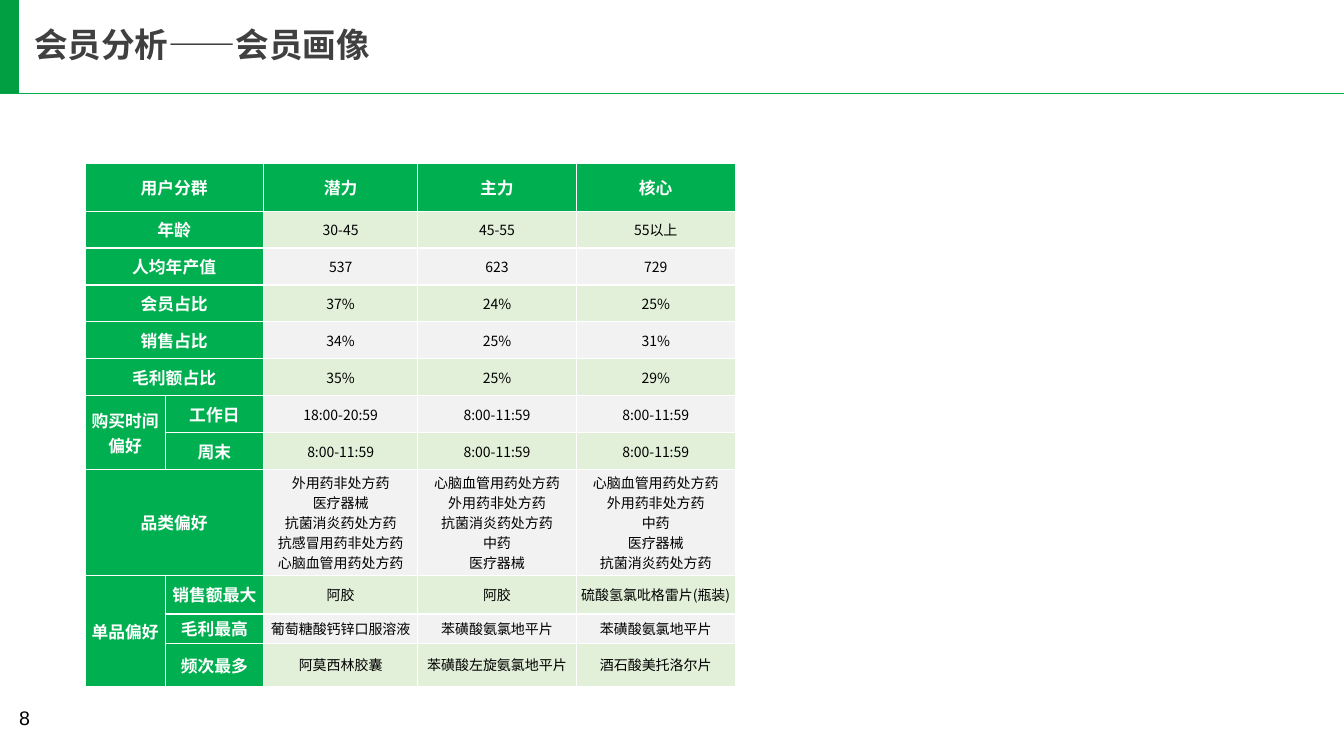
"""Build the member profile slide with its customer segment table."""
from dataclasses import dataclass

from lxml import etree
from pptx import Presentation
from pptx.dml.color import RGBColor
from pptx.enum import shapes, text
from pptx.oxml import ns
from pptx.util import Cm, Pt

CJK = "Noto Sans CJK SC"
GREEN, PALE, GREY, WHITE = "00B050", "E2F0D9", "F2F2F2", "FFFFFF"


@dataclass
class Row:
    group: str
    label: str
    values: list[str]
    height: float = 0.93
    group_rows: int = 1


COLUMNS = [2.03, 2.47, 3.89, 3.99, 4.01]
ROWS = [
    Row("用户分群", "", ["潜力", "主力", "核心"], 1.19),
    Row("年龄", "", ["30-45", "45-55", "55以上"]),
    Row("人均年产值", "", ["537", "623", "729"]),
    Row("会员占比", "", ["37%", "24%", "25%"]),
    Row("销售占比", "", ["34%", "25%", "31%"]),
    Row("毛利额占比", "", ["35%", "25%", "29%"]),
    Row("购买时间\n偏好", "工作日", ["18:00-20:59", "8:00-11:59", "8:00-11:59"], group_rows=2),
    Row("", "周末", ["8:00-11:59"] * 3),
    Row("品类偏好", "", [
        "外用药非处方药\n医疗器械\n抗菌消炎药处方药\n抗感冒用药非处方药\n心脑血管用药处方药",
        "心脑血管用药处方药\n外用药非处方药\n抗菌消炎药处方药\n中药\n医疗器械",
        "心脑血管用药处方药\n外用药非处方药\n中药\n医疗器械\n抗菌消炎药处方药",
    ], 2.67),
    Row("单品偏好", "销售额最大", ["阿胶", "阿胶", "硫酸氢氯吡格雷片(瓶装)"], 0.97, 3),
    Row("", "毛利最高", ["葡萄糖酸钙锌口服溶液", "苯磺酸氨氯地平片", "苯磺酸氨氯地平片"], 0.74),
    Row("", "频次最多", ["阿莫西林胶囊", "苯磺酸左旋氨氯地平片", "酒石酸美托洛尔片"], 1.09),
]


def rgb(value: str) -> RGBColor:
    return RGBColor.from_string(value)


def write(tf, content: str, *, size: float, color: str, font: str = CJK,
          bold: bool = False, align=None, spacing: float | None = None) -> None:
    for i, line in enumerate(content.split("\n")):
        p = tf.add_paragraph() if i else tf.paragraphs[0]
        p.alignment, p.line_spacing = align, spacing
        r = p.add_run()
        r.text = line
        r.font.size, r.font.bold, r.font.name = Pt(size), bold, font
        r.font.color.rgb = rgb(color)
        ea = etree.SubElement(r.font._element, ns.qn("a:ea"))
        ea.set("typeface", font)


def add_text(s, box: tuple[float, ...], content: str, inset: tuple[float, float],
             anchor=text.MSO_ANCHOR.TOP, **style) -> None:
    tf = s.shapes.add_textbox(*map(Cm, box)).text_frame
    tf.word_wrap, tf.vertical_anchor = True, anchor
    tf.margin_left = tf.margin_right = Cm(inset[0])
    tf.margin_top = tf.margin_bottom = Cm(inset[1])
    write(tf, content, **style)


def format_cell(cell, fill: str) -> None:
    cell.margin_left = cell.margin_right = cell.margin_top = cell.margin_bottom = 0
    cell.vertical_anchor = text.MSO_ANCHOR.MIDDLE
    for side in ("lnL", "lnR", "lnT", "lnB"):
        ln = etree.SubElement(cell._tc.get_or_add_tcPr(), ns.qn(f"a:{side}"), w=str(Pt(1)))
        solid = etree.SubElement(ln, ns.qn("a:solidFill"))
        etree.SubElement(solid, ns.qn("a:srgbClr"), val=WHITE)
    cell.fill.solid()
    cell.fill.fore_color.rgb = rgb(fill)


def add_profile_table(s, left: float, top: float) -> None:
    width, height = sum(COLUMNS), sum(row.height for row in ROWS)
    frame = s.shapes.add_table(len(ROWS), len(COLUMNS), Cm(left), Cm(top), Cm(width), Cm(height))
    table = frame.table
    for column, size in zip(table.columns, COLUMNS):
        column.width = Cm(size)
    for i, row in enumerate(ROWS):
        table.rows[i].height = Cm(row.height)
        for j, content in enumerate([row.group, row.label, *row.values]):
            cell = table.cell(i, j)
            header = i == 0 or j < 2
            format_cell(cell, GREEN if header else PALE if i % 2 else GREY)
            if content:
                write(cell.text_frame, content, size=12 if header else 10, bold=header,
                      color=WHITE if header else "000000", align=text.PP_ALIGN.CENTER)
    for i, row in enumerate(ROWS):
        if not row.label:
            table.cell(i, 0).merge(table.cell(i, 1))
        elif row.group_rows > 1:
            table.cell(i, 0).merge(table.cell(i + row.group_rows - 1, 0))


def add_header(s) -> None:
    rule = s.shapes.add_connector(shapes.MSO_CONNECTOR.STRAIGHT, 0, Cm(2.36), Cm(33.87), Cm(2.36))
    rule.line.color.rgb = rgb(GREEN)
    rule.line.width = Pt(1)
    etree.SubElement(rule._element.spPr, ns.qn("a:effectLst"))
    add_text(s, (0.86, 0.71, 15.98, 0.91), "会员分析——会员画像", (0, 0),
             text.MSO_ANCHOR.MIDDLE, size=24, color="404040", bold=True, spacing=0.9)
    bar = s.shapes.add_shape(shapes.MSO_SHAPE.RECTANGLE, 0, Cm(-0.03), Cm(0.48), Cm(2.39))
    bar.shadow.inherit = False
    bar.fill.solid()
    bar.fill.fore_color.rgb = rgb("029E42")
    bar.line.fill.background()


def main() -> None:
    prs = Presentation()
    prs.slide_width, prs.slide_height = Cm(33.87), Cm(19.05)
    s = prs.slides.add_slide(prs.slide_layouts[6])
    add_header(s)
    add_text(s, (0.23, 17.65, 2.31, 1.02), "8", (0.25, 0.13), size=14, color="000000", font="Arial")
    add_profile_table(s, 2.14, 4.13)
    prs.save("out.pptx")


if __name__ == "__main__":
    main()
